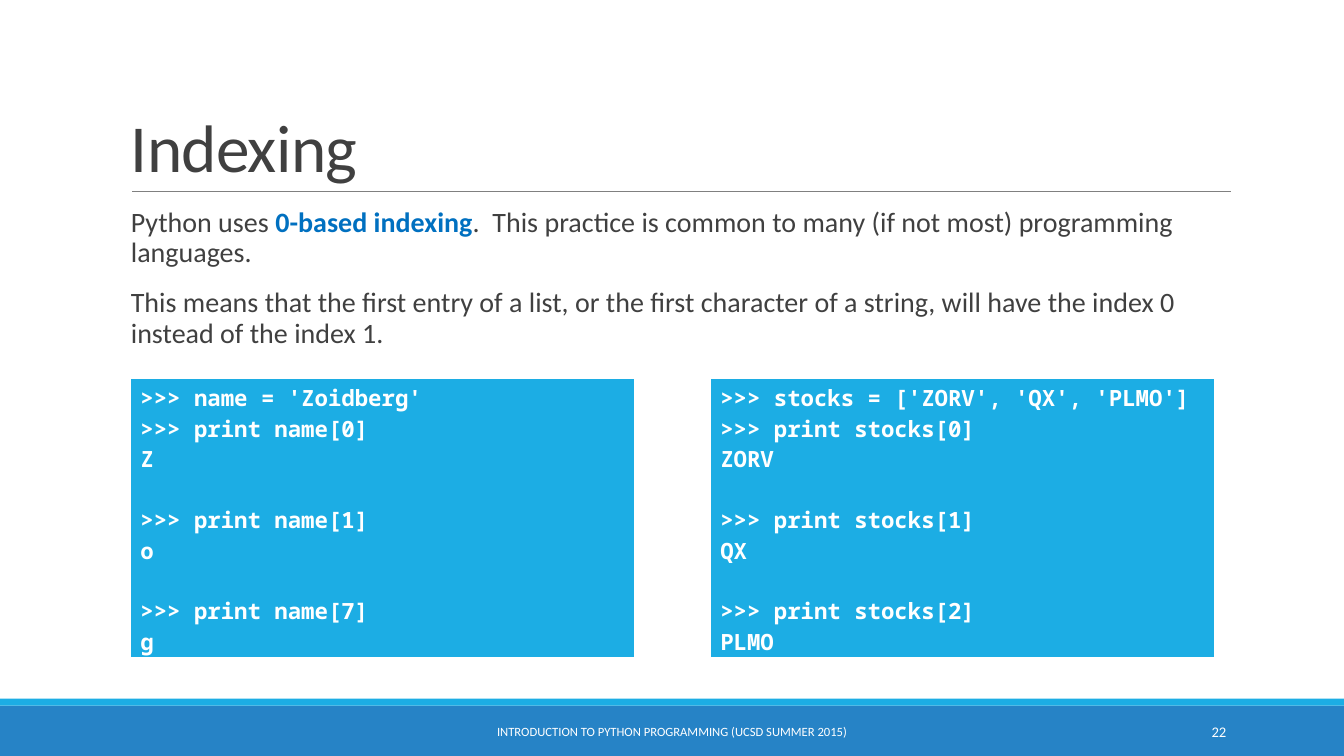
from dataclasses import dataclass

from lxml import etree
from pptx import Presentation
from pptx.dml.color import RGBColor
from pptx.enum.shapes import MSO_CONNECTOR, MSO_SHAPE
from pptx.enum.text import MSO_ANCHOR, PP_ALIGN
from pptx.oxml.ns import qn
from pptx.util import Inches, Pt

STRAIGHT = MSO_CONNECTOR.STRAIGHT
RECTANGLE = MSO_SHAPE.RECTANGLE
TOP, MIDDLE, BOTTOM = MSO_ANCHOR.TOP, MSO_ANCHOR.MIDDLE, MSO_ANCHOR.BOTTOM
LEFT, CENTER, RIGHT = PP_ALIGN.LEFT, PP_ALIGN.CENTER, PP_ALIGN.RIGHT


@dataclass(frozen=True)
class Theme:
    ink: str = "404040"
    rule: str = "808080"
    emphasis: str = "0070C0"
    accent: str = "1CADE4"
    footer: str = "2683C6"
    white: str = "FFFFFF"
    text_font: str = "Calibri"
    code_font: str = "Noto Sans Mono"
    title_size: float = 48
    body_size: float = 20
    code_size: float = 16
    code_gap: float = 21.8
    number_size: float = 10.5
    footer_size: float = 9


def rgb(color):
    return RGBColor.from_string(color)


def set_font(font, name, size, color, bold=False):
    font.name = name
    font.size = Pt(size)
    font.bold = bold
    font.color.rgb = rgb(color)


class SlideBuilder:
    def __init__(self, deck, theme):
        self.theme = theme
        self.page = deck.slides.add_slide(deck.slide_layouts[6])
        self.column = deck.slide_width / 100
        self.row = deck.slide_height / 100

    def place(self, left, top, width, height):
        return (round(left * self.column), round(top * self.row),
                round(width * self.column), round(height * self.row))

    def bar(self, top, height, color):
        bar = self.page.shapes.add_shape(RECTANGLE, *self.place(0, top, 100, height))
        bar.shadow.inherit = False
        bar.fill.solid()
        bar.fill.fore_color.rgb = rgb(color)
        bar.line.fill.background()

    def rule(self, left, right, top):
        x, y, width, _ = self.place(left, top, right - left, 0)
        rule = self.page.shapes.add_connector(STRAIGHT, x, y, x + width, y)
        rule.line.color.rgb = rgb(self.theme.rule)
        rule.line.width = Pt(0.5)
        etree.SubElement(rule._element.spPr, qn("a:effectLst"))

    def text(self, area, paragraphs, size, color, align=LEFT, anchor=TOP,
             line_spacing=1.0, before=0, after=0, tracking=0):
        box = self.page.shapes.add_textbox(*self.place(*area))
        frame = box.text_frame
        frame.word_wrap = True
        frame.vertical_anchor = anchor
        for index, spans in enumerate(paragraphs):
            para = frame.paragraphs[0] if index == 0 else frame.add_paragraph()
            para.alignment = align
            para.line_spacing = line_spacing
            para.space_before = Pt(before if index else 0)
            para.space_after = Pt(after)
            set_font(para.font, self.theme.text_font, size, color)
            for words, emphasized in spans:
                span = para.add_run()
                span.text = words
                if emphasized:
                    span.font.bold = True
                    span.font.color.rgb = rgb(self.theme.emphasis)
                if tracking:
                    span._r.get_or_add_rPr().set("spc", str(round(tracking * 100)))

    def code(self, area, groups):
        theme = self.theme
        table = self.page.shapes.add_table(1, 1, *self.place(*area)).table
        table.first_row = False
        table.horz_banding = False
        cell = table.cell(0, 0)
        self.borders(cell)
        cell.fill.solid()
        cell.fill.fore_color.rgb = rgb(theme.accent)
        frame = cell.text_frame
        for group_index, lines in enumerate(groups):
            for line_index, line in enumerate(lines):
                first = group_index == line_index == 0
                para = frame.paragraphs[0] if first else frame.add_paragraph()
                if group_index and line_index == 0:
                    para.space_before = Pt(theme.code_gap)
                set_font(para.font, theme.code_font, theme.code_size, theme.white, True)
                para.add_run().text = line

    def borders(self, cell):
        properties = cell._tc.get_or_add_tcPr()
        for side, width in (("L", 1), ("R", 1), ("T", 1), ("B", 3)):
            line = etree.SubElement(properties, qn(f"a:ln{side}"), w=str(Pt(width)))
            fill = etree.SubElement(line, qn("a:solidFill"))
            etree.SubElement(fill, qn("a:srgbClr"), val=self.theme.white)


def main():
    theme = Theme()
    deck = Presentation()
    deck.slide_width, deck.slide_height = Inches(13.33), Inches(7.5)
    slide = SlideBuilder(deck, theme)

    slide.bar(93.33, 6.67, theme.footer)
    slide.bar(92.4, 0.93, theme.accent)
    slide.rule(9.83, 91.6, 25.33)
    slide.text((9, 4.13, 82.52, 21.2), [[("Indexing", False)]], theme.title_size,
               theme.ink, anchor=BOTTOM, line_spacing=0.85, tracking=-0.5)

    explanation = [
        [("Python uses ", False), ("0-based indexing", True),
         (".  This practice is common to many (if not most) programming languages.", False)],
        [("This means that the first entry of a list, or the first character of a string, "
          "will have the index 0 instead of the index 1.", False)],
    ]
    slide.text((9, 26.93, 82.52, 58.67), explanation, theme.body_size, theme.ink,
               line_spacing=0.9, before=12, after=2)

    examples = [
        [(">>> name = 'Zoidberg'", ">>> print name[0]", "Z"),
         (">>> print name[1]", "o"),
         (">>> print name[7]", "g")],
        [(">>> stocks = ['ZORV', 'QX', 'PLMO']", ">>> print stocks[0]", "ZORV"),
         (">>> print stocks[1]", "QX"),
         (">>> print stocks[2]", "PLMO")],
    ]
    for index, groups in enumerate(examples):
        slide.code((9.7 + 43.14 * index, 50, 37.5, 37.2), groups)

    footer_top, footer_height = 94.13, 5.33
    slide.text((81.25, footer_top, 10.73, footer_height), [[("22", False)]],
               theme.number_size, theme.white, align=RIGHT, anchor=MIDDLE)
    slide.text((30.23, footer_top, 39.53, footer_height),
               [[("INTRODUCTION TO PYTHON PROGRAMMING (UCSD SUMMER 2015)", False)]],
               theme.footer_size, theme.white, align=CENTER, anchor=MIDDLE)
    deck.save("out.pptx")


if __name__ == "__main__":
    main()
